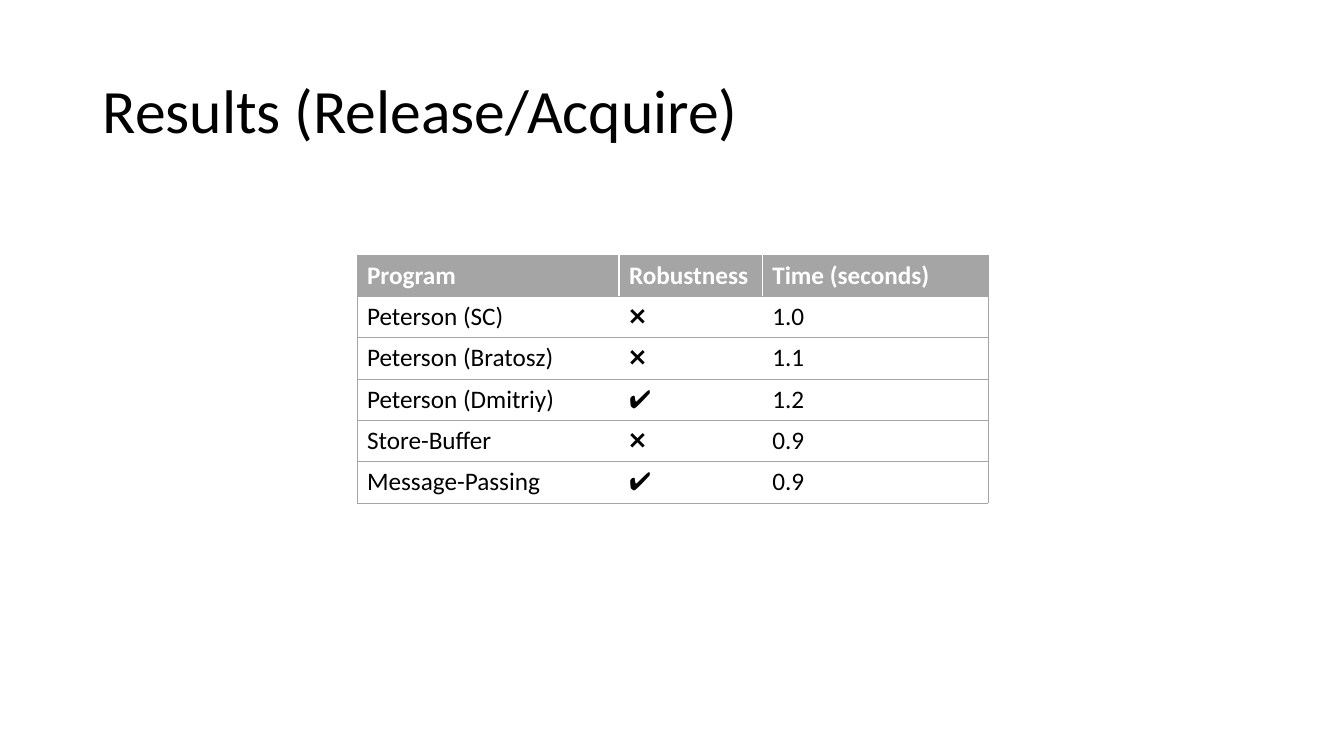
import pptx
import pptx.dml.color
import pptx.enum.text
import pptx.oxml
import pptx.oxml.ns
import pptx.util

TITLE = "Results (Release/Acquire)"
ROWS = [
    ("Program", "Robustness", "Time (seconds)"),
    ("Peterson (SC)", "❌", "1.0"),
    ("Peterson (Bratosz)", "❌", "1.1"),
    ("Peterson (Dmitriy)", "✔️", "1.2"),
    ("Store-Buffer", "❌", "0.9"),
    ("Message-Passing", "✔️", "0.9"),
]
COLUMN_WIDTHS = (2.6, 1.42, 2.24)
ROW_HEIGHT = 0.41
TABLE_LEFT, TABLE_TOP = 3.54, 2.53
TITLE_BOX = (0.92, 0.4, 11.5, 1.45)
FONT = "Calibri"
BLACK, WHITE, GRAY = "000000", "FFFFFF", "A5A5A5"
BORDER_WIDTH = 0.5


def color(value):
    return pptx.dml.color.RGBColor.from_string(value)


def inches(*lengths):
    return [pptx.util.Inches(length) for length in lengths]


def style_text(paragraph, size, text_color, bold=False):
    for run in paragraph.runs:
        run.font.name = FONT
        run.font.size = pptx.util.Pt(size)
        run.font.bold = bold
        run.font.color.rgb = color(text_color)


def add_border(cell, side):
    properties = cell._tc.get_or_add_tcPr()
    properties.append(pptx.oxml.parse_xml(
        f'<a:ln{side} {pptx.oxml.ns.nsdecls("a")} w="{pptx.util.Pt(BORDER_WIDTH)}">'
        f'<a:solidFill><a:srgbClr val="{GRAY}"/></a:solidFill></a:ln{side}>'
    ))


def add_title(slide):
    title = slide.shapes.add_textbox(*inches(*TITLE_BOX))
    text_frame = title.text_frame
    text_frame.word_wrap = True
    text_frame.vertical_anchor = pptx.enum.text.MSO_ANCHOR.MIDDLE
    text_frame.text = TITLE
    paragraph = text_frame.paragraphs[0]
    paragraph.line_spacing = 0.9
    style_text(paragraph, 44, BLACK)


def add_results(slide):
    size = (sum(COLUMN_WIDTHS), ROW_HEIGHT * len(ROWS))
    frame = slide.shapes.add_table(
        len(ROWS), len(COLUMN_WIDTHS), *inches(TABLE_LEFT, TABLE_TOP, *size)
    )
    table = frame.table
    table.horz_banding = False
    for column, width in zip(table.columns, COLUMN_WIDTHS):
        column.width = pptx.util.Inches(width)
    for row_index, values in enumerate(ROWS):
        table.rows[row_index].height = pptx.util.Inches(ROW_HEIGHT)
        header = row_index == 0
        for column_index, value in enumerate(values):
            cell = table.cell(row_index, column_index)
            cell.text_frame.text = value
            style_text(cell.text_frame.paragraphs[0], 18, WHITE if header else BLACK, header)
            if column_index == 0:
                add_border(cell, "L")
            if column_index == len(values) - 1:
                add_border(cell, "R")
            add_border(cell, "T")
            add_border(cell, "B")
            if header:
                cell.fill.solid()
                cell.fill.fore_color.rgb = color(GRAY)
            else:
                cell.fill.background()


def main():
    presentation = pptx.Presentation()
    presentation.slide_width, presentation.slide_height = inches(13.33, 7.5)
    slide = presentation.slides.add_slide(presentation.slide_layouts[6])
    add_title(slide)
    add_results(slide)
    presentation.save("out.pptx")


if __name__ == "__main__":
    main()
